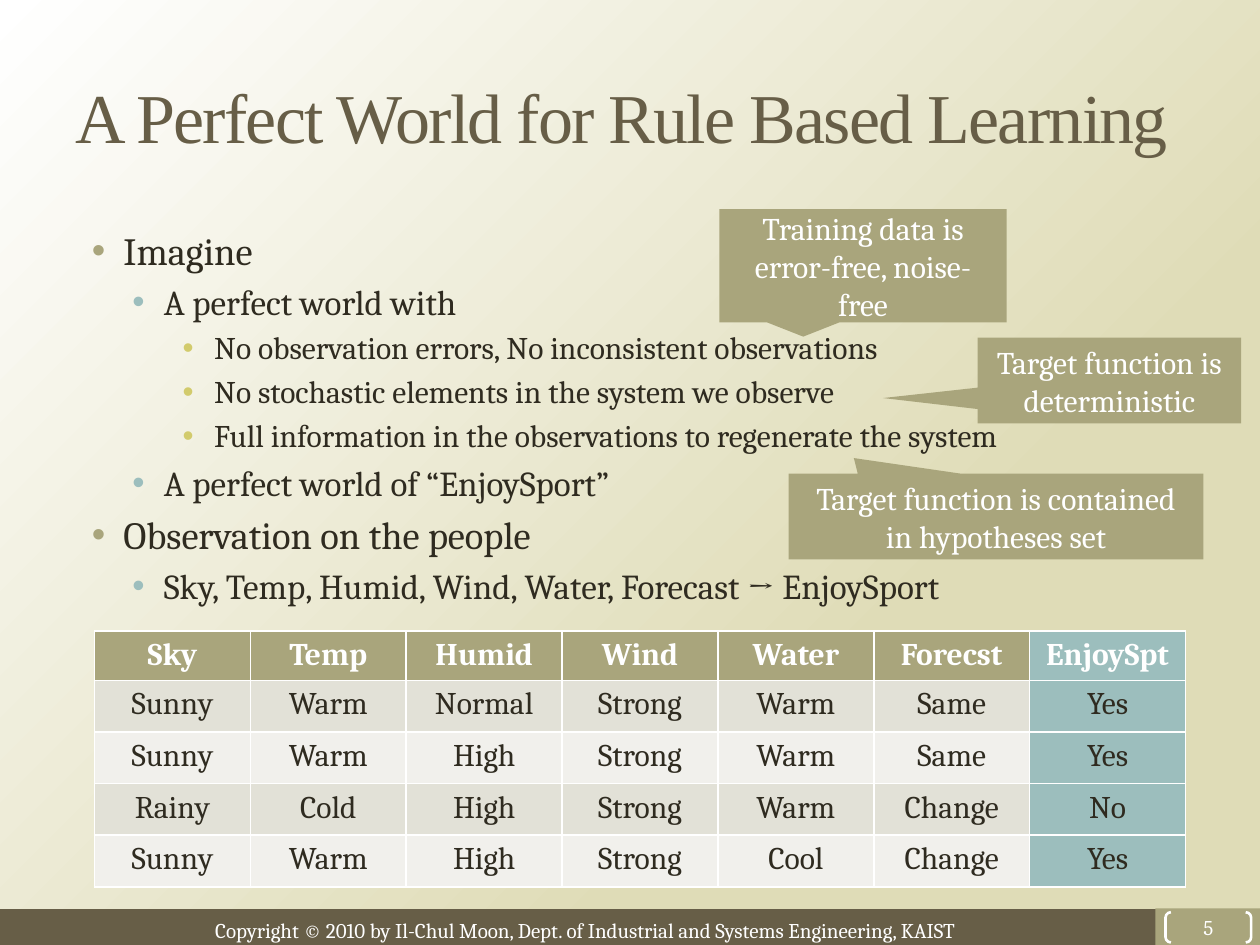
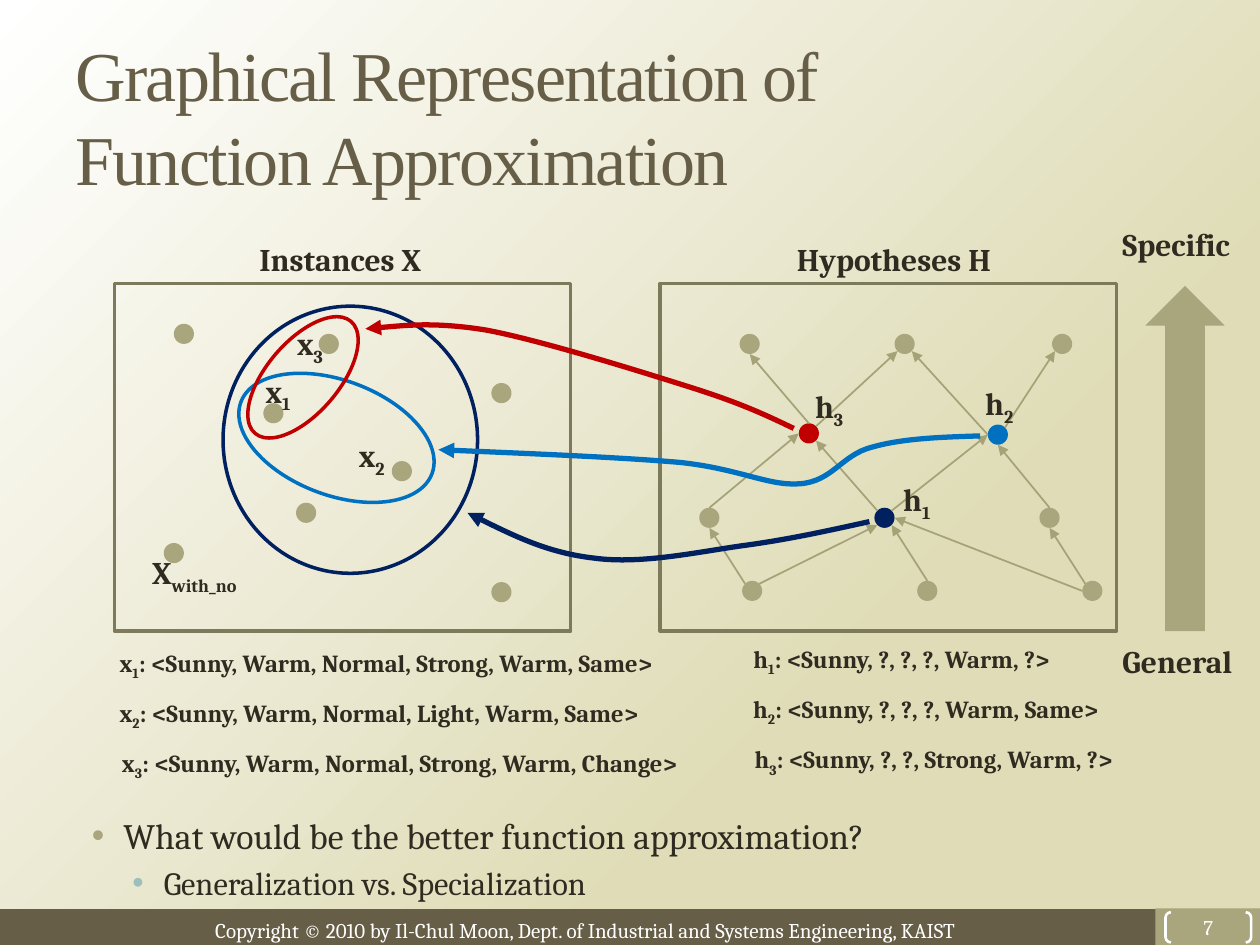
"""Build two lecture slides on rule based learning and function approximation."""
import math

import pptx
import pptx.dml.color
import pptx.enum.shapes
import pptx.enum.text
import pptx.oxml
import pptx.oxml.ns
import pptx.util

Inches, Pt = pptx.util.Inches, pptx.util.Pt
SHAPE = pptx.enum.shapes.MSO_SHAPE
ALIGN = pptx.enum.text.PP_ALIGN
ANCHOR = pptx.enum.text.MSO_ANCHOR
FIT = pptx.enum.text.MSO_AUTO_SIZE

BROWN, OLIVE, TEAL, YELLOW = "675E47", "A9A57C", "9CBEBD", "D2CB6C"
INK, WHITE, SAND, FRAME, EDGE = "2F2B20", "FFFFFF", "DFDCB7", "7D7A5C", "A6A278"
BANDS = ["E2E1D7", "F1F0EC"]
RED, BLUE, NAVY = "C00000", "0070C0", "002060"
BODY_FONT, TITLE_FONT = "Cambria", "Times New Roman"
COPYRIGHT = "Copyright © 2010 by Il-Chul Moon, Dept. of Industrial and Systems Engineering, KAIST"

LEVELS = [(0.38, OLIVE), (0.7, TEAL), (1.1, YELLOW)]

WORLD = {
    "title": "A Perfect World for Rule Based Learning",
    "number": "5",
    "body_box": (0.5, 1.75, 9.22, 5.39),
    "sizes": [22, 20, 18],
    "bullets": [
        (0, "Imagine"),
        (1, "A perfect world with"),
        (2, "No observation errors, No inconsistent observations"),
        (2, "No stochastic elements in the system we observe"),
        (2, "Full information in the observations to regenerate the system"),
        (1, "A perfect world of “EnjoySport”"),
        (0, "Observation on the people"),
        (1, "Sky, Temp, Humid, Wind, Water, Forecast → EnjoySport"),
    ],
}
OBSERVATIONS = [
    ["Sky", "Temp", "Humid", "Wind", "Water", "Forecst", "EnjoySpt"],
    ["Sunny", "Warm", "Normal", "Strong", "Warm", "Same", "Yes"],
    ["Sunny", "Warm", "High", "Strong", "Warm", "Same", "Yes"],
    ["Rainy", "Cold", "High", "Strong", "Warm", "Change", "No"],
    ["Sunny", "Warm", "High", "Strong", "Cool", "Change", "Yes"],
]
TABLE_BOX = (0.75, 5.01, 8.66, 2.02)
HEADER_HEIGHT, ROW_HEIGHT = 0.25, 0.41
CALLOUTS = [
    ("Training data is error-free, noise-free", (5.71, 1.66, 2.28, 0.9), None),
    ("Target function is deterministic", (7.76, 2.68, 2.09, 0.68), (-0.86, 0.205)),
    ("Target function is contained in hypotheses set", (6.26, 3.76, 3.29, 0.68), (-0.343, -0.683)),
]

APPROXIMATION = {
    "title": "Graphical Representation of \vFunction Approximation",
    "number": "7",
    "body_box": (0.5, 6.41, 9.22, 0.73),
    "sizes": [20.4, 18.5],
    "bullets": [
        (0, "What would be the better function approximation?"),
        (1, "Generalization vs. Specialization"),
    ],
}
FRAMES = [(0.91, 2.25, 3.62, 2.76), (5.24, 2.25, 3.62, 2.76)]
DOT = 0.16
INSTANCES = [(1.38, 2.57), (2.53, 2.65), (3.9, 3.04), (2.09, 3.2),
             (3.11, 3.66), (1.3, 4.31), (3.9, 4.62), (2.35, 3.99)]
HYPOTHESES = {
    "top1": (5.87, 2.65, OLIVE), "top2": (7.1, 2.65, OLIVE), "top3": (8.35, 2.65, OLIVE),
    "h3": (6.34, 3.36, RED), "h2": (7.84, 3.37, BLUE),
    "mid1": (5.55, 4.03, OLIVE), "h1": (6.94, 4.03, NAVY), "mid3": (8.25, 4.03, OLIVE),
    "low1": (5.89, 4.61, OLIVE), "low2": (7.28, 4.61, OLIVE), "low3": (8.59, 4.61, OLIVE),
}
COMPASS = ["N", "NW", "W", "SW", "S", "SE", "E", "NE"]
GENERALITY = [
    ("low1", "NE", "h1", "SW"), ("low1", "NW", "mid1", "S"), ("mid1", "N", "h3", "W"),
    ("h1", "NW", "h3", "SE"), ("low2", "N", "h1", "SE"), ("low3", "W", "h1", "E"),
    ("low3", "NW", "mid3", "S"), ("mid3", "N", "h2", "S"), ("h1", "NE", "h2", "W"),
    ("h3", "N", "top1", "S"), ("h3", "NE", "top2", "SW"), ("h2", "W", "top2", "SE"),
    ("h2", "NE", "top3", "SW"),
]
COVERS = [
    ((1.77, 2.43, 2.02, 2.12), 0, NAVY),
    ((1.86, 3.02, 1.62, 0.91), 20.6, BLUE),
    ((1.82, 2.71, 1.17, 0.57), 310.6, RED),
]
CURVES = [
    (NAVY, [(6.9, 4.14), (6.58, 4.21), (6.27, 4.28), (5.9, 4.33), (5.54, 4.38),
            (5.09, 4.48), (4.72, 4.43), (4.36, 4.39), (4.03, 4.23), (3.71, 4.07)]),
    (RED, [(6.3, 3.4), (6.11, 3.31), (5.91, 3.21), (5.5, 3.08), (5.09, 2.95),
           (4.29, 2.7), (3.86, 2.62), (3.43, 2.55), (2.9, 2.61), (2.9, 2.61)]),
    (BLUE, [(7.78, 3.46), (7.47, 3.47), (7.16, 3.48), (6.92, 3.55), (6.68, 3.61),
            (6.61, 3.82), (6.35, 3.84), (6.1, 3.86), (5.87, 3.72), (5.39, 3.67),
            (4.91, 3.63), (4.19, 3.6), (3.48, 3.57)]),
]
HEADINGS = [("Instances X", 1.96, 1.52, ALIGN.LEFT), ("Hypotheses H", 6.2, 1.79, ALIGN.CENTER)]
LABELS = [
    ("x~1", 2.01, 2.9, 0.44), ("x~2", 2.75, 3.41, 0.44), ("x~3", 2.26, 2.52, 0.44),
    ("h~3", 6.37, 3.02, 0.45), ("h~2", 7.72, 3, 0.45), ("h~1", 7.07, 3.76, 0.45),
    ("General", 8.81, 5.05, 1.11), ("Specific", 8.81, 1.74, 1.09),
    ("X~with_no", 1.11, 4.34, 1.02),
]
DEFINITIONS = [
    (5.09, [("x~1~: <Sunny, Warm, Normal, Strong, Warm, Same>", 0.85, 4.61),
            ("x~2~: <Sunny, Warm, Normal, Light, Warm, Same>", 0.85, 4.42),
            ("x~3~: <Sunny, Warm, Normal, Strong, Warm, Change>", 0.87, 4.73)]),
    (5.06, [("h~1~: <Sunny, ?, ?, ?, Warm, ?>", 5.88, 2.62),
            ("h~2~: <Sunny, ?, ?, ?, Warm, Same>", 5.88, 3),
            ("h~3~: <Sunny, ?, ?, Strong, Warm, ?>", 5.89, 3.12)]),
]
DEFINITION_PITCH = 0.4


def rgb(color):
    return pptx.dml.color.RGBColor.from_string(color)


def box(values):
    return [Inches(v) for v in values]


def child(parent, tag, **attrs):
    el = pptx.oxml.parse_xml(f'<{tag} {pptx.oxml.ns.nsdecls("a")}/>')
    for name, value in attrs.items():
        el.set(name, value)
    parent.append(el)
    return el


def write(p, text, size=18, color=INK, font=BODY_FONT, bold=False, align=None, spacing=None):
    p.alignment = align
    for i, part in enumerate(text.split("~")):
        for j, line in enumerate(part.split("\v")):
            if j:
                p.add_line_break()
            r = p.add_run()
            r.text = line
            r.font.size, r.font.name, r.font.bold = Pt(size), font, bold
            r.font.color.rgb = rgb(color)
            rpr = r.font._element
            if i % 2:
                rpr.set("baseline", "-25000")
            if spacing:
                rpr.set("spc", str(spacing))


def outline(sp, color, width, arrow=False):
    sp.line.color.rgb = rgb(color)
    sp.line.width = Pt(width)
    if arrow:
        child(sp.line._get_or_add_ln(), "a:tailEnd", type="triangle")


def shape(s, kind, at, fill=None, line=None, width=2, rotation=0):
    sp = s.shapes.add_shape(kind, *box(at))
    sp.shadow.inherit = False
    sp.rotation = rotation
    if fill:
        sp.fill.solid()
        sp.fill.fore_color.rgb = rgb(fill)
    else:
        sp.fill.background()
    if line:
        outline(sp, line, width)
    else:
        sp.line.fill.background()
    return sp


def label(s, text, at, **fmt):
    sp = s.shapes.add_textbox(*box(at))
    sp.text_frame.word_wrap = False
    sp.text_frame.auto_size = FIT.SHAPE_TO_FIT_TEXT
    write(sp.text_frame.paragraphs[0], text, **fmt)
    return sp


def place(ph, at, anchor):
    ph.left, ph.top, ph.width, ph.height = box(at)
    tf = ph.text_frame
    tf.word_wrap, tf.auto_size, tf.vertical_anchor = True, FIT.NONE, anchor
    return tf


def style_master(prs, s):
    fill = prs.slide_master.background.fill
    fill.gradient()
    fill.gradient_angle = 135
    for stop, position, color in zip(fill.gradient_stops, (0.31, 1), (SAND, WHITE)):
        stop.position = position
        stop.color.rgb = rgb(color)
    footer = [
        shape(s, SHAPE.RECTANGLE, (4.85, 2.35, 0.29, 10.02), fill=BROWN, rotation=90),
        shape(s, SHAPE.RECTANGLE, (9.17, 7.21, 0.84, 0.29), fill=OLIVE),
        label(s, COPYRIGHT, (1.61, 7.23, 6.41, 0.3), size=12, color=WHITE),
    ]
    for i, sp in enumerate(footer):
        sp._element.xpath(".//p:cNvPr")[0].set("id", str(100 + i))
        prs.slide_master.shapes._spTree.append(sp._element)


def base_slide(prs, content):
    s = prs.slides.add_slide(prs.slide_layouts[1])
    tf = place(s.shapes.title, (0.5, 0.3, 9.22, 1.24), ANCHOR.MIDDLE)
    write(tf.paragraphs[0], content["title"], size=40, color=BROWN, font=TITLE_FONT,
          align=ALIGN.LEFT, spacing=-100)
    tf = place(s.placeholders[1], content["body_box"], ANCHOR.TOP)
    for i, (level, text) in enumerate(content["bullets"]):
        p = tf.add_paragraph() if i else tf.paragraphs[0]
        p.level = level
        write(p, text, size=content["sizes"][level])
        indent, color = LEVELS[level]
        ppr = p._p.get_or_add_pPr()
        ppr.set("marL", str(Inches(indent)))
        ppr.set("indent", str(Inches(-0.25)))
        child(child(ppr, "a:buClr"), "a:srgbClr", val=color)
        child(ppr, "a:buFont", typeface="Arial")
        child(ppr, "a:buChar", char="•")
    sp = shape(s, SHAPE.DOUBLE_BRACKET, (9.25, 7.24, 0.68, 0.24), line=WHITE, width=1.5)
    sp.adjustments[0] = 0.179
    tf = sp.text_frame
    tf.margin_left = tf.margin_right = tf.margin_top = tf.margin_bottom = 0
    tf.vertical_anchor = ANCHOR.MIDDLE
    write(tf.paragraphs[0], content["number"], size=12, color=WHITE, align=ALIGN.CENTER)
    return s


def fill_cell(cell, text, row, last):
    cell.fill.solid()
    cell.fill.fore_color.rgb = rgb(TEAL if last else BANDS[(row - 1) % 2] if row else OLIVE)
    write(cell.text_frame.paragraphs[0], text, color=INK if row else WHITE,
          bold=row == 0, align=ALIGN.CENTER)


def world_slide(prs):
    s = base_slide(prs, WORLD)
    rows, cols = len(OBSERVATIONS), len(OBSERVATIONS[0])
    table = s.shapes.add_table(rows, cols, *box(TABLE_BOX)).table
    for i, texts in enumerate(OBSERVATIONS):
        table.rows[i].height = Inches(ROW_HEIGHT if i else HEADER_HEIGHT)
        for j, text in enumerate(texts):
            fill_cell(table.cell(i, j), text, i, j == cols - 1)
    for text, at, tip in CALLOUTS:
        sp = shape(s, SHAPE.RECTANGULAR_CALLOUT, at, fill=OLIVE)
        if tip:
            sp.adjustments[0], sp.adjustments[1] = tip
        sp.text_frame.word_wrap = True
        sp.text_frame.vertical_anchor = ANCHOR.MIDDLE
        write(sp.text_frame.paragraphs[0], text, color=WHITE, align=ALIGN.CENTER)
    return s


def rim(node, side):
    x, y, _ = HYPOTHESES[node]
    angle = math.radians(90 + 45 * COMPASS.index(side))
    r = DOT / 2
    return box((x + r + r * math.cos(angle), y + r - r * math.sin(angle)))


def curve(s, points, color):
    fb = s.shapes.build_freeform(*box(points[0]), scale=1.0)
    fb.add_line_segments([box(pt) for pt in points[1:]], close=False)
    sp = fb.convert_to_shape()
    sp.shadow.inherit = False
    sp.fill.background()
    outline(sp, color, 3, arrow=True)
    outline_path = sp._element.xpath(".//a:path")[0]
    lines = outline_path.xpath("a:lnTo")
    for k in range(0, len(lines), 3):
        bend = child(outline_path, "a:cubicBezTo")
        for line in lines[k:k + 3]:
            bend.append(line[0])
            outline_path.remove(line)


def approximation_slide(prs):
    s = base_slide(prs, APPROXIMATION)
    for at in FRAMES:
        shape(s, SHAPE.RECTANGLE, at, line=FRAME)
    for text, x, width, align in HEADINGS:
        label(s, text, (x, 1.86, width, 0.4), bold=True, align=align)
    for x, y, color in [(*xy, OLIVE) for xy in INSTANCES] + list(HYPOTHESES.values()):
        shape(s, SHAPE.OVAL, (x, y, DOT, DOT), fill=color)
    for start, out, end, into in GENERALITY:
        cx = s.shapes.add_connector(pptx.enum.shapes.MSO_CONNECTOR.STRAIGHT,
                                    *rim(start, out), *rim(end, into))
        outline(cx, EDGE, 1, arrow=True)
        child(cx._element.spPr, "a:effectLst")
    for at, rotation, color in COVERS:
        shape(s, SHAPE.OVAL, at, line=color, rotation=rotation)
    for color, points in CURVES:
        curve(s, points, color)
    for top, lines in DEFINITIONS:
        for i, (text, x, width) in enumerate(lines):
            label(s, text, (x, top + i * DEFINITION_PITCH, width, 0.34), size=14, bold=True)
    shape(s, SHAPE.UP_ARROW, (9.09, 2.27, 0.63, 2.74), fill=OLIVE)
    for text, x, y, width in LABELS:
        label(s, text, (x, y, width, 0.4), bold=True)


def main():
    prs = pptx.Presentation()
    prs.slide_width, prs.slide_height = Inches(10), Inches(7.5)
    style_master(prs, world_slide(prs))
    approximation_slide(prs)
    prs.save("out.pptx")


if __name__ == "__main__":
    main()
